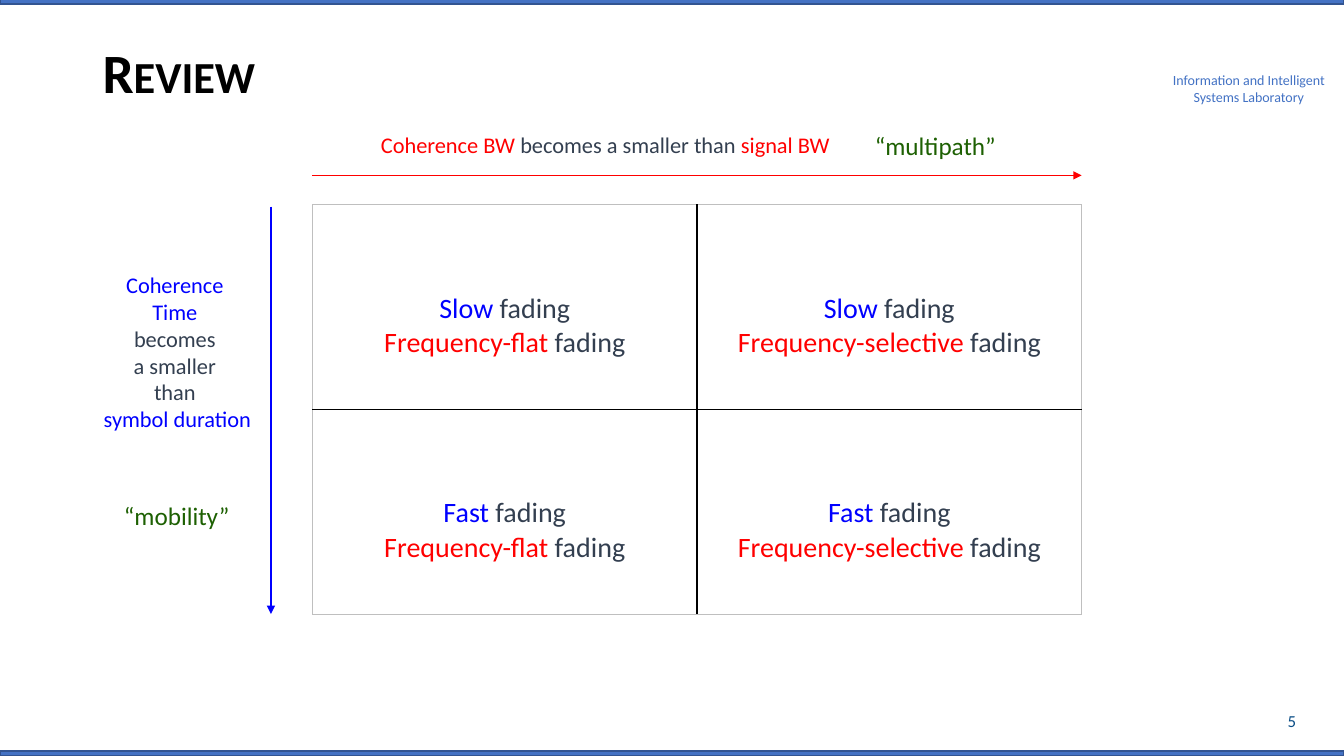
from dataclasses import dataclass

from lxml.etree import SubElement
from pptx import Presentation
from pptx.dml.color import RGBColor
from pptx.enum.shapes import MSO_CONNECTOR, MSO_SHAPE
from pptx.enum.text import MSO_ANCHOR, PP_ALIGN
from pptx.oxml.ns import qn
from pptx.util import Pt


@dataclass(frozen=True)
class Theme:
    font: str = "Calibri"
    black: str = "000000"
    bar: str = "4472C4"
    bar_edge: str = "325491"
    laboratory: str = "4372C4"
    number: str = "094C85"
    frequency: str = "FF0000"
    time: str = "0000FF"
    body: str = "333F50"
    cause: str = "1D6002"
    frame: str = "BFBFBF"
    title_size: float = 39.6
    cell_size: float = 20
    cause_size: float = 18
    axis_size: float = 16
    number_size: float = 12
    laboratory_size: float = 10


THEME = Theme()
WIDTH, HEIGHT = 960, 540
BAR_HEIGHT = 3.6
GRID_LEFT, GRID_TOP = 223.2, 146.2
COLUMN_WIDTH, ROW_HEIGHT = 274.7, 146.2
GRID_RIGHT = GRID_LEFT + 2 * COLUMN_WIDTH
GRID_BOTTOM = GRID_TOP + 2 * ROW_HEIGHT


def write_lines(text_frame, lines, size, align):
    """Each line is a list of (text, colour) pieces."""
    for index, pieces in enumerate(lines):
        paragraph = text_frame.paragraphs[0] if index == 0 else text_frame.add_paragraph()
        paragraph.alignment = align
        for text, color in pieces:
            run = paragraph.add_run()
            run.text = text
            run.font.name = THEME.font
            run.font.size = Pt(size)
            run.font.color.rgb = RGBColor.from_string(color)


def add_text(slide, box, lines, size, align=PP_ALIGN.LEFT, anchor=MSO_ANCHOR.TOP, wrap=False):
    text_frame = slide.shapes.add_textbox(*map(Pt, box)).text_frame
    text_frame.word_wrap = wrap
    text_frame.vertical_anchor = anchor
    write_lines(text_frame, lines, size, align)
    return text_frame


def add_bar(slide, top):
    bar = slide.shapes.add_shape(MSO_SHAPE.RECTANGLE, 0, Pt(top), Pt(WIDTH), Pt(BAR_HEIGHT))
    bar.shadow.inherit = False
    bar.fill.solid()
    bar.fill.fore_color.rgb = RGBColor.from_string(THEME.bar)
    bar.line.color.rgb = RGBColor.from_string(THEME.bar_edge)
    bar.line.width = Pt(1)


def add_arrow(slide, start, end, color):
    arrow = slide.shapes.add_connector(MSO_CONNECTOR.STRAIGHT, *map(Pt, start + end))
    arrow.line.color.rgb = RGBColor.from_string(color)
    arrow.line.width = Pt(1)
    SubElement(arrow.line._get_or_add_ln(), qn("a:tailEnd"), type="triangle")
    SubElement(arrow._element.spPr, qn("a:effectLst"))


def set_borders(cell, borders):
    """Borders are (side, colour, width), in the order L, R, T, B."""
    properties = cell._tc.get_or_add_tcPr()
    for index, (side, color, width) in enumerate(borders):
        line = properties.makeelement(qn(f"a:ln{side}"), {"w": str(Pt(width))})
        fill = SubElement(line, qn("a:solidFill"))
        SubElement(fill, qn("a:srgbClr"), val=color)
        properties.insert(index, line)


def add_fading_table(slide, speeds, selectivities):
    table = slide.shapes.add_table(
        2, 2, Pt(GRID_LEFT), Pt(GRID_TOP), Pt(2 * COLUMN_WIDTH), Pt(2 * ROW_HEIGHT)
    ).table
    table.first_row = table.horz_banding = False
    outer, middle_column, middle_row = (THEME.frame, 0.75), (THEME.black, 1.5), (THEME.black, 1)
    verticals = [outer, middle_column, outer]
    horizontals = [outer, middle_row, outer]
    for row, speed in enumerate(speeds):
        table.rows[row].height = Pt(ROW_HEIGHT)
        for column, selectivity in enumerate(selectivities):
            table.columns[column].width = Pt(COLUMN_WIDTH)
            cell = table.cell(row, column)
            cell.fill.background()
            cell.margin_top = Pt(62)
            lines = [
                [(speed, THEME.time), (" fading", THEME.body)],
                [(selectivity, THEME.frequency), (" fading", THEME.body)],
            ]
            write_lines(cell.text_frame, lines, THEME.cell_size, PP_ALIGN.CENTER)
            set_borders(cell, [
                ("L", *verticals[column]), ("R", *verticals[column + 1]),
                ("T", *horizontals[row]), ("B", *horizontals[row + 1]),
            ])


def main():
    presentation = Presentation()
    presentation.slide_width, presentation.slide_height = Pt(WIDTH), Pt(HEIGHT)
    slide = presentation.slides.add_slide(presentation.slide_layouts[6])

    # Page frame
    for top in (-0.7, HEIGHT - BAR_HEIGHT):
        add_bar(slide, top)
    laboratory = ["Information and Intelligent", "Systems Laboratory"]
    add_text(slide, (829.4, 47.5, 125.3, 31.7), [[(line, THEME.laboratory)] for line in laboratory],
             THEME.laboratory_size, PP_ALIGN.CENTER)
    add_text(slide, (717, 500.4, 216, 28.8), [[("5", THEME.number)]],
             THEME.number_size, PP_ALIGN.RIGHT, MSO_ANCHOR.MIDDLE, wrap=True)

    # Title in small capitals
    title = add_text(slide, (66.2, 27.4, 828, 52.6), [[("Review", THEME.black)]],
                     THEME.title_size, anchor=MSO_ANCHOR.MIDDLE, wrap=True)
    title.paragraphs[0].line_spacing = 0.9
    title_font = title.paragraphs[0].runs[0].font
    title_font.bold = True
    title_font._element.set("cap", "small")

    # Fading types
    add_fading_table(slide, ["Slow", "Fast"], ["Frequency-flat", "Frequency-selective"])

    # Bandwidth axis
    add_arrow(slide, (GRID_LEFT, 125.3), (GRID_RIGHT, 125.3), THEME.frequency)
    bandwidth = [("Coherence BW ", THEME.frequency), ("becomes a smaller than ", THEME.body),
                 ("signal BW", THEME.frequency)]
    add_text(slide, (265, 90, 339.1, 26.6), [bandwidth], THEME.axis_size)
    add_text(slide, (617.8, 89.3, 102.2, 28.8), [[("“multipath”", THEME.cause)]], THEME.cause_size)

    # Time axis
    add_arrow(slide, (193.5, 147.6), (193.5, GRID_BOTTOM), THEME.time)
    duration = [("Coherence ", THEME.time), ("Time ", THEME.time), ("becomes ", THEME.body),
                ("a smaller ", THEME.body), ("than ", THEME.body), ("symbol duration", THEME.time)]
    add_text(slide, (65.5, 190.1, 122.4, 123.8), [[piece] for piece in duration],
             THEME.axis_size, PP_ALIGN.CENTER)
    add_text(slide, (81.4, 354.2, 90, 28.8), [[("“mobility”", THEME.cause)]], THEME.cause_size)

    presentation.save("out.pptx")


main()
